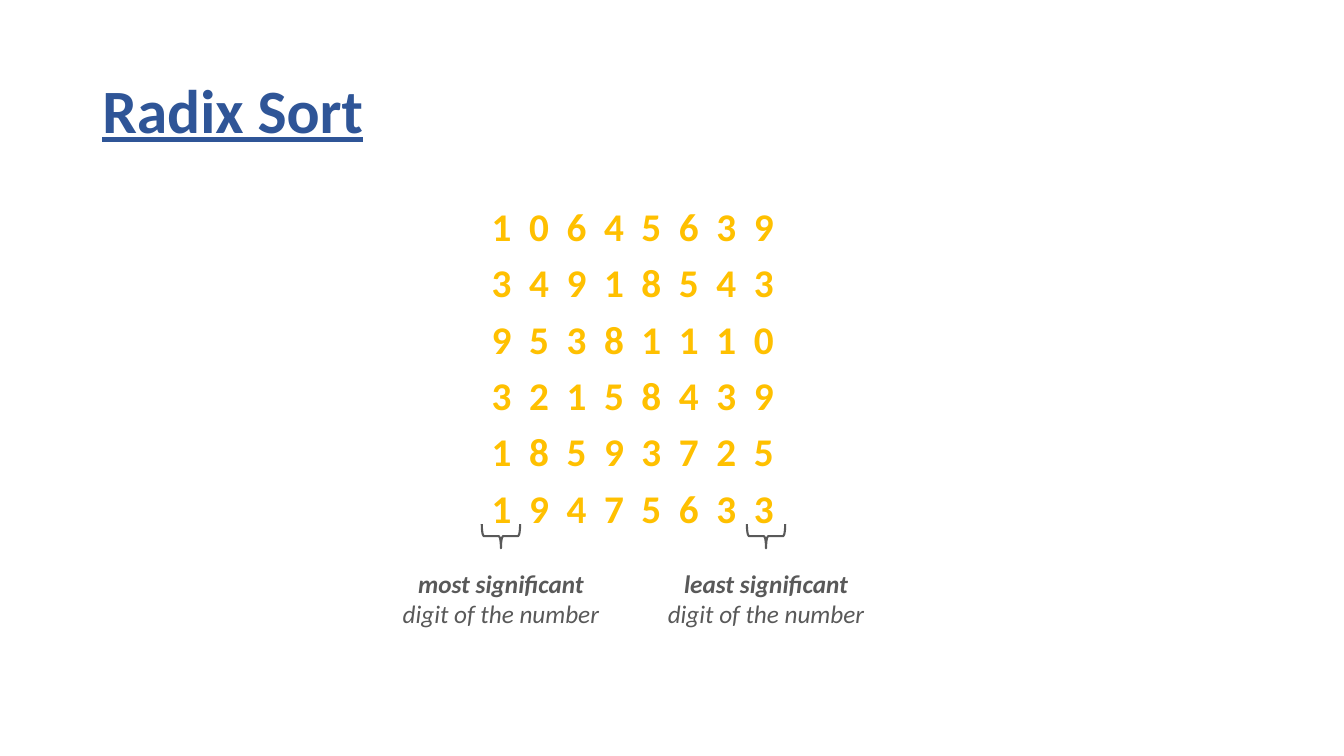
import dataclasses

import pptx
import pptx.dml.color
import pptx.enum.shapes
import pptx.enum.text
import pptx.slide
import pptx.text.text
import pptx.util

Pt = pptx.util.Pt
COLORS = {"title": "2F5597", "digits": "FFC000", "note": "595959"}
NUMBERS = ["10645639", "34918543", "95381110", "32158439", "18593725", "19475633"]
BRACE_W, BRACE_H = 17.28, 27.36
CAPTION_W = 156.24


@dataclasses.dataclass
class DigitNote:
    heading: str
    center: float


NOTES = [DigitNote("least significant", 547.2), DigitNote("most significant", 357.84)]


def rgb(name: str) -> pptx.dml.color.RGBColor:
    return pptx.dml.color.RGBColor.from_string(COLORS[name])


def add_text(s: pptx.slide.Slide, left: float, top: float, width: float, height: float,
             lines: list[str], size: float, color: str) -> pptx.text.text.TextFrame:
    tf = s.shapes.add_textbox(Pt(left), Pt(top), Pt(width), Pt(height)).text_frame
    tf.word_wrap = True
    tf.text = "\n".join(lines)
    for p in tf.paragraphs:
        p.font.name = "Calibri"
        p.font.size = Pt(size)
        p.font.bold = True
        p.font.color.rgb = rgb(color)
    return tf


def add_title(s: pptx.slide.Slide) -> None:
    tf = add_text(s, 66, 28.8, 828, 104.4, ["Radix Sort"], 44, "title")
    tf.vertical_anchor = pptx.enum.text.MSO_ANCHOR.MIDDLE
    p = tf.paragraphs[0]
    p.line_spacing = 0.9
    p.font.underline = True


def add_numbers(s: pptx.slide.Slide) -> None:
    tf = add_text(s, 344.16, 144.72, 300, 245, [" ".join(n) for n in NUMBERS], 28, "digits")
    for p in tf.paragraphs:
        p.line_spacing = 0.9
        p.space_before = Pt(10)
        for r in p.runs:
            r.font._element.set("spc", "316")


def add_brace(s: pptx.slide.Slide, center: float) -> None:
    sp = s.shapes.add_shape(pptx.enum.shapes.MSO_SHAPE.LEFT_BRACE, Pt(center - BRACE_W / 2),
                            Pt(369.3), Pt(BRACE_W), Pt(BRACE_H))
    sp.rotation = 270
    sp.shadow.inherit = False
    sp.fill.background()
    sp.line.color.rgb = rgb("note")
    sp.line.width = Pt(1.5)


def add_caption(s: pptx.slide.Slide, note: DigitNote) -> None:
    tf = add_text(s, note.center - CAPTION_W / 2, 402.48, CAPTION_W, 51.12,
                  [note.heading, "digit of the number"], 18, "note")
    tf.word_wrap = False
    for p in tf.paragraphs:
        p.alignment = pptx.enum.text.PP_ALIGN.CENTER
        p.font.italic = True
    tf.paragraphs[1].font.bold = False


def main() -> None:
    prs = pptx.Presentation()
    prs.slide_width, prs.slide_height = Pt(960), Pt(540)
    s = prs.slides.add_slide(prs.slide_layouts[6])
    add_title(s)
    add_numbers(s)
    for note in NOTES:
        add_brace(s, note.center)
        add_caption(s, note)
    prs.save("out.pptx")


if __name__ == "__main__":
    main()
